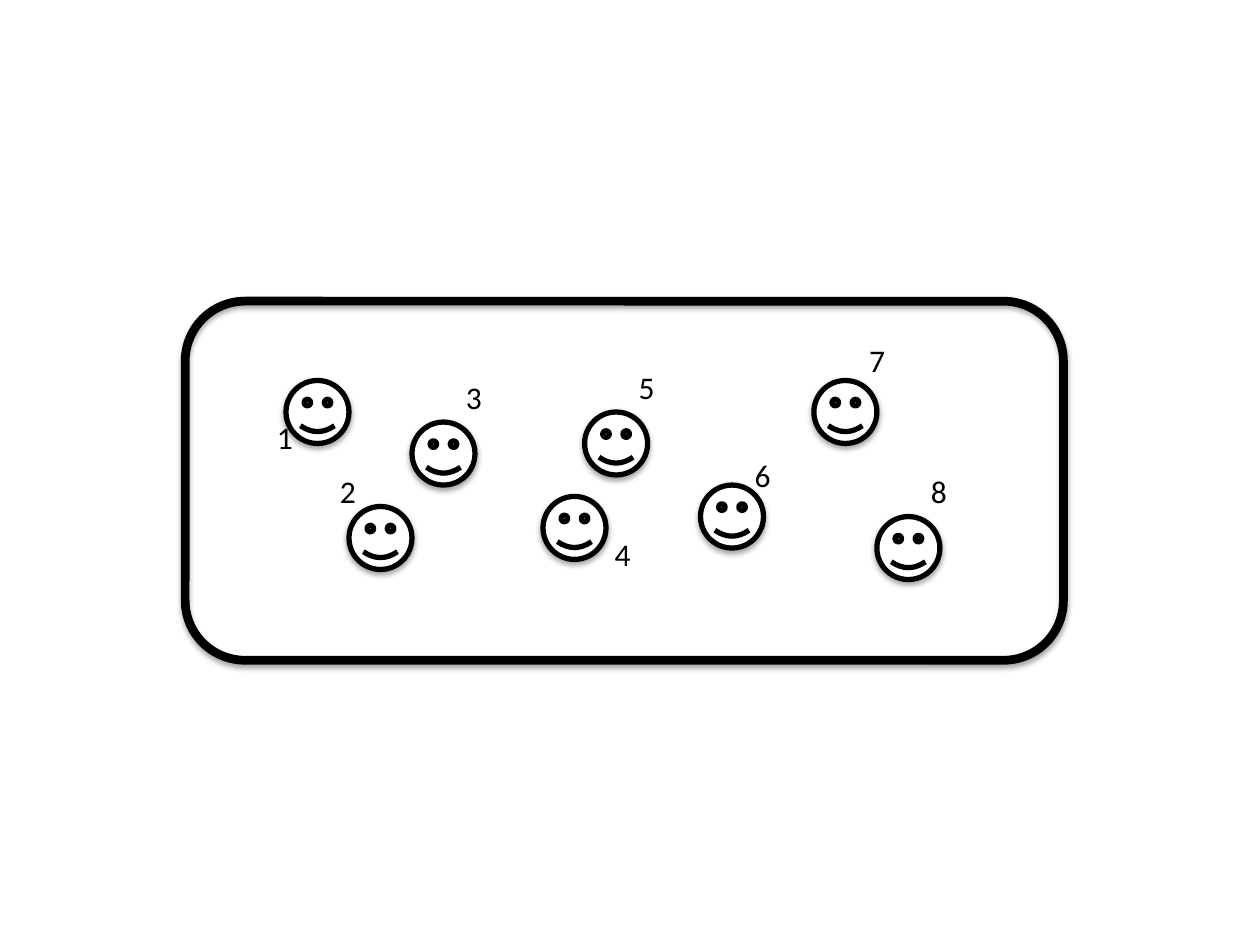
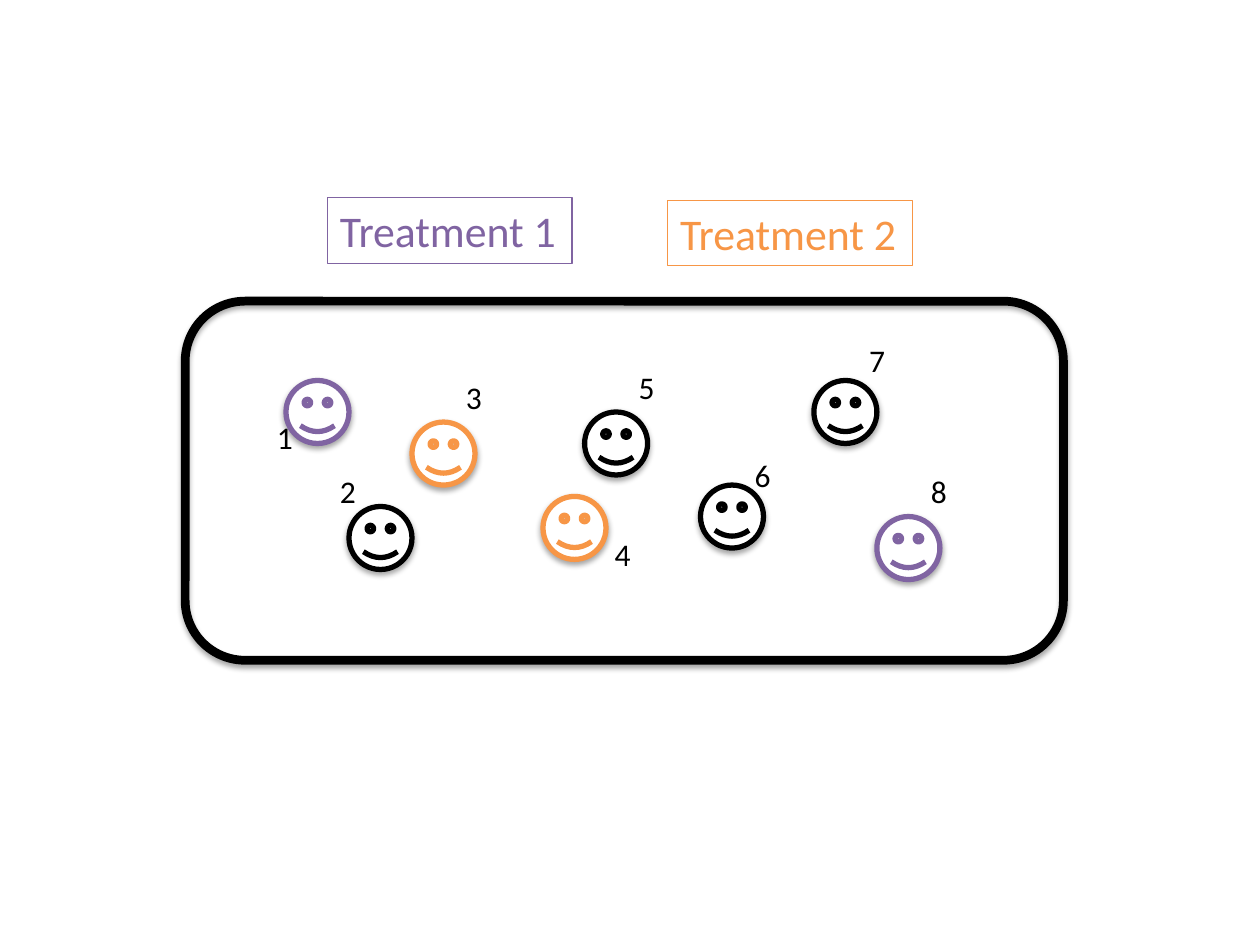
"""Build two slides of numbered subjects in a group, before and after treatment assignment."""
from dataclasses import dataclass

from lxml import etree
from pptx import Presentation
from pptx import util as u
from pptx.dml.color import RGBColor
from pptx.enum import shapes, text
from pptx.oxml.ns import qn


@dataclass(frozen=True)
class Theme:
    font: str = "Calibri"
    black: str = "000000"
    white: str = "FFFFFF"
    purple: str = "8064A2"
    orange: str = "F79646"
    number_size: float = 18
    treatment_size: float = 25
    group_line: float = 5
    face_line: float = 3
    box_line: float = 0.75


THEME = Theme()
FACE_SIZE = 0.5
FACE_POSITIONS = {
    1: (2.27, 3.02), 2: (2.77, 4.02), 3: (3.27, 3.35), 4: (4.31, 3.94),
    5: (4.64, 3.27), 6: (5.56, 3.85), 7: (6.46, 3.02), 8: (6.96, 4.1),
}
NUMBER_POSITIONS = {
    1: (2.1, 3.27), 2: (2.6, 3.7), 3: (3.6, 2.95), 4: (4.78, 4.2),
    5: (4.97, 2.87), 6: (5.89, 3.57), 7: (6.8, 2.66), 8: (7.29, 3.7),
}
TREATMENTS = [
    ("Treatment 1", (2.6, 1.57), THEME.purple, (1, 8)),
    ("Treatment 2", (5.3, 1.59), THEME.orange, (3, 4)),
]


class SlideBuilder:
    def __init__(self, presentation, theme):
        self.presentation = presentation
        self.theme = theme
        self.slide = None

    def new_slide(self):
        self.slide = self.presentation.slides.add_slide(self.presentation.slide_layouts[6])

    def outline(self, shape, color, width):
        shape.line.color.rgb = RGBColor.from_string(color)
        shape.line.width = u.Pt(width)

    def shadow(self, shape):
        shape.shadow.inherit = False
        effects = shape._element.spPr.find(qn("a:effectLst"))
        outer = etree.SubElement(effects, qn("a:outerShdw"), blurRad="40000", dist="23000",
                                 dir="5400000", rotWithShape="0")
        color = etree.SubElement(outer, qn("a:srgbClr"), val=self.theme.black)
        etree.SubElement(color, qn("a:alpha"), val="35000")

    def outlined_shape(self, kind, box, color, width):
        shape = self.slide.shapes.add_shape(kind, *map(u.Inches, box))
        self.outline(shape, color, width)
        self.shadow(shape)
        return shape

    def group(self):
        shape = self.outlined_shape(shapes.MSO_SHAPE.ROUNDED_RECTANGLE, (1.47, 2.39, 6.97, 2.85),
                                    self.theme.black, self.theme.group_line)
        shape.fill.background()

    def face(self, position, color):
        shape = self.outlined_shape(shapes.MSO_SHAPE.SMILEY_FACE,
                                    (*position, FACE_SIZE, FACE_SIZE), color, self.theme.face_line)
        shape.fill.solid()
        shape.fill.fore_color.rgb = RGBColor.from_string(self.theme.white)

    def label(self, wording, box, size, color):
        shape = self.slide.shapes.add_textbox(*map(u.Inches, box))
        frame = shape.text_frame
        frame.text = wording
        frame.word_wrap = False
        frame.auto_size = text.MSO_AUTO_SIZE.SHAPE_TO_FIT_TEXT
        font = frame.paragraphs[0].runs[0].font
        font.name = self.theme.font
        font.size = u.Pt(size)
        font.color.rgb = RGBColor.from_string(color)
        return shape

    def number(self, number, position):
        self.label(str(number), (*position, 0.33, 0.4), self.theme.number_size, self.theme.black)

    def treatment(self, name, position, color):
        shape = self.label(name, (*position, 1.94, 0.52), self.theme.treatment_size, color)
        self.outline(shape, color, self.theme.box_line)

    def subjects_slide(self, treatments=()):
        self.new_slide()
        self.group()
        face_colors = {number: color for _, _, color, members in treatments for number in members}
        for number, position in FACE_POSITIONS.items():
            self.face(position, face_colors.get(number, self.theme.black))
        for number, position in NUMBER_POSITIONS.items():
            self.number(number, position)
        for name, position, color, _ in treatments:
            self.treatment(name, position, color)


def main():
    presentation = Presentation()
    presentation.slide_width = u.Inches(10)
    presentation.slide_height = u.Inches(7.5)
    builder = SlideBuilder(presentation, THEME)
    builder.subjects_slide()
    builder.subjects_slide(TREATMENTS)
    presentation.save("out.pptx")


if __name__ == "__main__":
    main()
